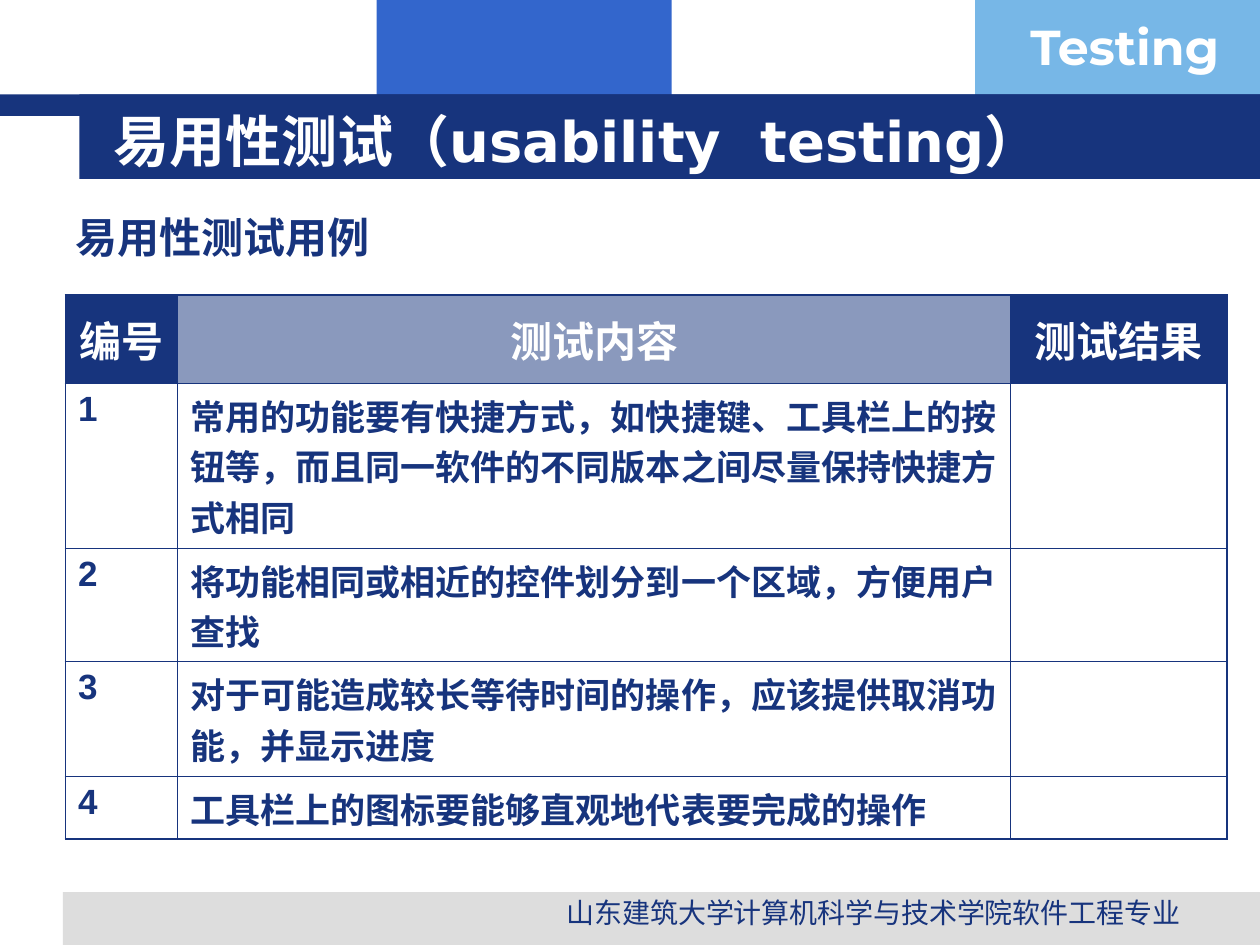
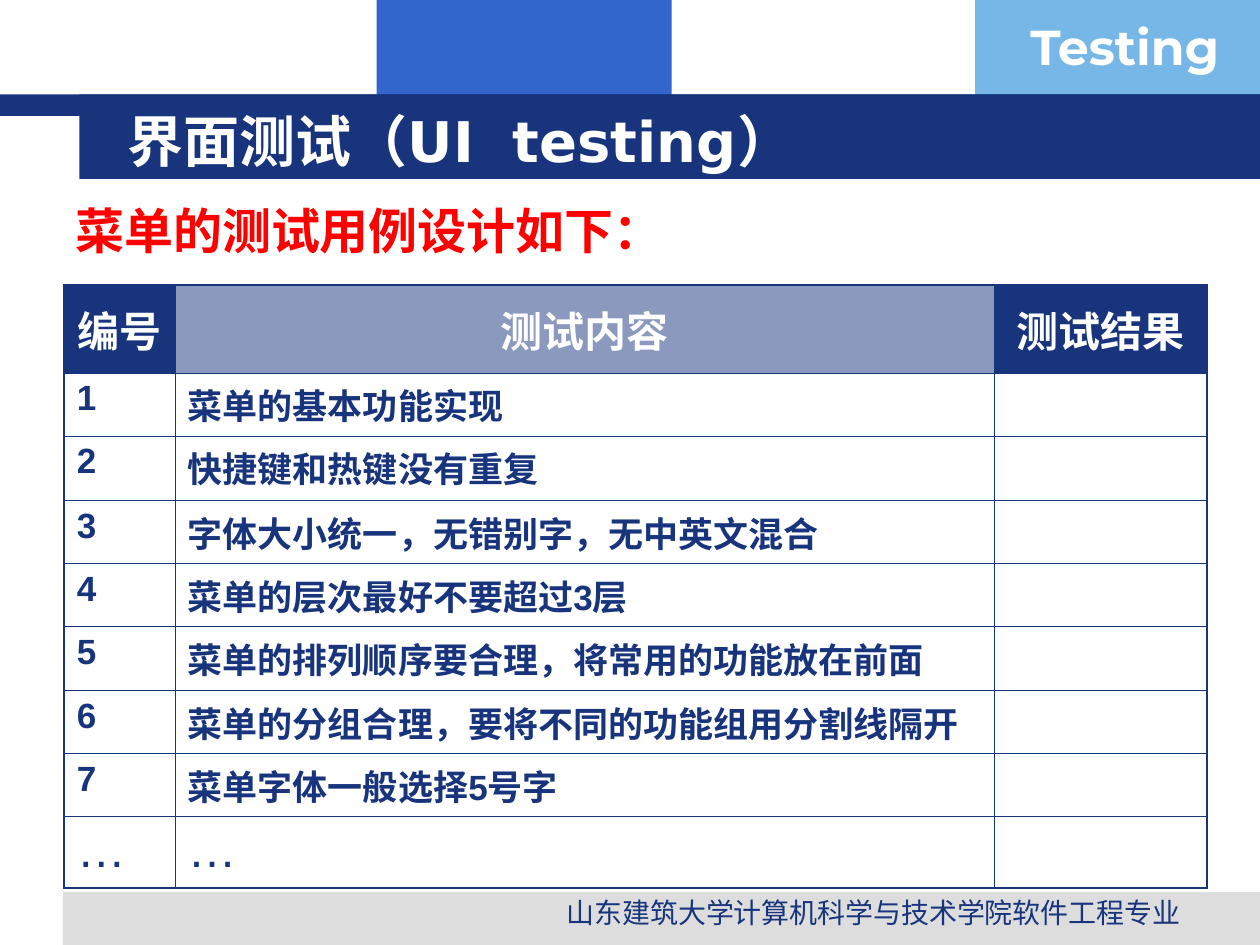
"""Build two slides of test case tables for usability and UI testing."""
from lxml import etree
from pptx import Presentation, util as u
from pptx.dml.color import RGBColor
from pptx.enum import shapes, text
from pptx.oxml.ns import qn

HUES = {"navy": "17347D", "blue": "3366CC", "sky": "77B7E7",
        "grey": "DDDDDD", "white": "FFFFFF", "red": "FF0000"}
BANDS = [(2.99, 0, 2.34, 0.92, "blue"), (7.74, 0, 2.26, 0.92, "sky"),
         (0.5, 7.08, 9.5, 0.42, "grey"), (0, 0.75, 10, 0.17, "navy"),
         (0.63, 0.75, 9.37, 0.67, "navy")]
HEADS = ["编号", "测试内容", "测试结果"]
THIN, THICK = 0.45, 1.08
DECK = [
    {"title": ("易用性测试（usability", "testing）"), "shift": 0,
     "sub": "易用性测试用例", "place": (0.5, 1.55, 9.07, 0.62),
     "look": (24, "navy", 1.2),
     "at": (0.52, 2.34), "cols": [0.89, 6.61, 1.72],
     "rows": [("1", "常用的功能要有快捷方式，如快捷键、工具栏上的按钮等，而且同一软件的不同版本之间尽量保持快捷方式相同", 1.31),
              ("2", "将功能相同或相近的控件划分到一个区域，方便用户查找", 0.9),
              ("3", "对于可能造成较长等待时间的操作，应该提供取消功能，并显示进度", 0.91),
              ("4", "工具栏上的图标要能够直观地代表要完成的操作", 0.5)]},
    {"title": ("界面测试（UI", "testing）"), "shift": 0.11,
     "sub": "菜单的测试用例设计如下：", "place": (0.5, 1.63, 7.57, 0.47),
     "look": (28, "red", 0.8),
     "at": (0.51, 2.26), "cols": [0.88, 6.5, 1.69],
     "rows": [("1", "菜单的基本功能实现", 0.5),
              ("2", "快捷键和热键没有重复", 0.51),
              ("3", "字体大小统一，无错别字，无中英文混合", 0.5),
              ("4", "菜单的层次最好不要超过3层", 0.5),
              ("5", "菜单的排列顺序要合理，将常用的功能放在前面", 0.51),
              ("6", "菜单的分组合理，要将不同的功能组用分割线隔开", 0.5),
              ("7", "菜单字体一般选择5号字", 0.5),
              ("…", "…", 0.57)]},
]


def put(para, words, size, hue, bold=True, face="Arial"):
    run = para.add_run()
    run.text = words
    run.font.size = u.Pt(size)
    run.font.bold = bold
    run.font.name = face
    run.font.color.rgb = RGBColor.from_string(HUES[hue])
    return run


def box(slide, place):
    frame = slide.shapes.add_textbox(*map(u.Inches, place)).text_frame
    frame.word_wrap = True
    return frame


deck = Presentation()
deck.slide_width, deck.slide_height = u.Inches(10), u.Inches(7.5)

for page in DECK:
    slide = deck.slides.add_slide(deck.slide_layouts[6])
    for *place, hue in BANDS:
        band = slide.shapes.add_shape(shapes.MSO_SHAPE.RECTANGLE, *map(u.Inches, place))
        band.shadow.inherit = False
        band.fill.solid()
        band.fill.fore_color.rgb = RGBColor.from_string(HUES[hue])
        band.line.fill.background()

    tag = box(slide, (8.08, 0.08, 1.93, 0.57))
    put(tag.paragraphs[0], "Testing", 28, "white", face="Montserrat")

    foot = box(slide, (4.06, 7.06, 5.75, 0.31)).paragraphs[0]
    foot.alignment = text.PP_ALIGN.CENTER
    put(foot, "山东建筑大学计算机科学与技术学院软件工程专业", 16, "navy", False)

    title = box(slide, (0.8, 0.8, 8.53, 0.62))
    title.vertical_anchor = text.MSO_ANCHOR.MIDDLE
    title.margin_left = u.Inches(0.1 + page["shift"])
    first, last = page["title"]
    for words in (first, " ", last):
        run = put(title.paragraphs[0], words, 32, "white", face="DejaVu Sans")
        if words == " ":
            run.font._element.set("spc", "1100")

    size, hue, lead = page["look"]
    sub = box(slide, page["place"]).paragraphs[0]
    sub.line_spacing = lead
    put(sub, page["sub"], size, hue)

    rows, cols = page["rows"], page["cols"]
    tall = [0.7] + [row[2] for row in rows]
    place = (*page["at"], sum(cols), sum(tall))
    grid = slide.shapes.add_table(len(tall), len(cols), *map(u.Inches, place)).table
    grid.first_row = grid.horz_banding = False
    for col, wide in zip(grid.columns, cols):
        col.width = u.Inches(wide)
    for row, high in zip(grid.rows, tall):
        row.height = u.Inches(high)

    lines = [HEADS] + [(num, case, "") for num, case, high in rows]
    for r, line in enumerate(lines):
        for c, words in enumerate(line):
            cell = grid.cell(r, c)
            props = cell._tc.get_or_add_tcPr()
            outer = {"lnL": c == 0, "lnR": c == len(cols) - 1,
                     "lnT": r == 0, "lnB": r == len(rows)}
            for side, edge in outer.items():
                rule = etree.SubElement(props, qn("a:" + side),
                                        w=str(u.Pt(THICK if edge else THIN)))
                fill = etree.SubElement(rule, qn("a:solidFill"))
                etree.SubElement(fill, qn("a:srgbClr"), val=HUES["navy"])
            para = cell.text_frame.paragraphs[0]
            if r == 0:
                cell.fill.solid()
                cell.fill.fore_color.rgb = RGBColor.from_string(HUES["navy"])
                if c == 1:
                    tint = props.find(qn("a:solidFill") + "/" + qn("a:srgbClr"))
                    etree.SubElement(tint, qn("a:alpha"), val="50000")
                cell.vertical_anchor = text.MSO_ANCHOR.MIDDLE
                para.alignment = text.PP_ALIGN.CENTER
                put(para, words, 24, "white")
            else:
                cell.fill.background()
                if words:
                    more = words == "…"
                    put(para, words, 28 if more else 20, "navy", not more)

deck.save("out.pptx")
